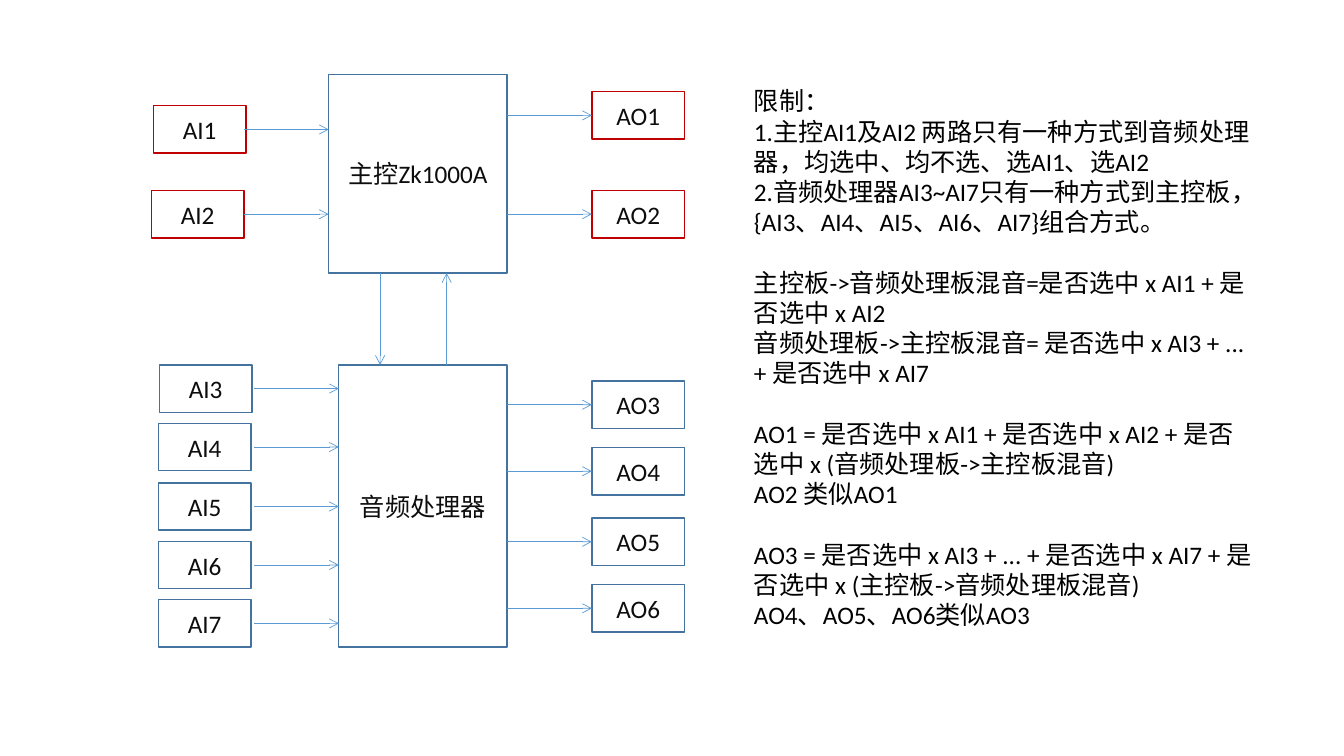
"""Builds the audio routing slide with its mixing rules."""
from pptx import Presentation
from pptx.dml.color import RGBColor
from pptx.enum.shapes import MSO_CONNECTOR, MSO_SHAPE
from pptx.enum.text import MSO_ANCHOR, PP_ALIGN
from pptx.oxml.ns import qn
from pptx.util import Inches, Pt
from lxml import etree

RECTANGLE = MSO_SHAPE.RECTANGLE
STRAIGHT = MSO_CONNECTOR.STRAIGHT
MIDDLE = MSO_ANCHOR.MIDDLE
CENTER = PP_ALIGN.CENTER

THEME = {
    "font": "Calibri", "size": 18, "rule_gap": 21.6,
    "label": "0D0D0D", "rules": "000000",
    "blue": "43739E", "red": "C00000", "arrow": "5B9BD5",
    "box_line": 1, "arrow_line": 0.5,
}

BOARDS = [
    {
        "name": "主控Zk1000A", "at": (3.26, 0.74, 1.77, 1.97), "color": "red",
        "inputs": [("AI1", 1.52, 1.05), ("AI2", 1.5, 1.89)],
        "outputs": [("AO1", 0.91), ("AO2", 1.89)],
    },
    {
        "name": "音频处理器", "at": (3.36, 3.62, 1.67, 2.8), "color": "blue",
        "inputs": [("AI3", 1.58, 3.62), ("AI4", 1.57, 4.2), ("AI5", 1.57, 4.79),
                   ("AI6", 1.57, 5.37), ("AI7", 1.57, 5.95)],
        "outputs": [("AO3", 3.78), ("AO4", 4.44), ("AO5", 5.14), ("AO6", 5.8)],
    },
]

RULE_GROUPS = [
    ["限制：",
     "1.主控AI1及AI2 两路只有一种方式到音频处理器，均选中、均不选、选AI1、选AI2",
     "2.音频处理器AI3~AI7只有一种方式到主控板，{AI3、AI4、AI5、AI6、AI7}组合方式。"],
    ["主控板->音频处理板混音=是否选中 x AI1 + 是否选中 x AI2",
     "音频处理板->主控板混音= 是否选中 x AI3 + ...",
     "+ 是否选中 x AI7"],
    ["AO1 = 是否选中 x AI1 + 是否选中 x AI2 + 是否选中 x (音频处理板->主控板混音)",
     "AO2 类似AO1"],
    ["AO3 = 是否选中 x AI3 + ... + 是否选中 x AI7 + 是否选中 x (主控板->音频处理板混音)",
     "AO4、AO5、AO6类似AO3"],
]
RULES_AT = (7.38, 0.8, 5.2, 5.55)

PORT_WIDTH, PORT_HEIGHT = 0.92, 0.47
ARROW_LENGTH = 0.84
DOWN_X, UP_X = 3.77, 4.43


def rgb(name):
    return RGBColor.from_string(THEME[name])


def style_text(paragraph, color):
    for run in paragraph.runs:
        run.font.name = THEME["font"]
        run.font.size = Pt(THEME["size"])
        run.font.color.rgb = rgb(color)


def add_box(slide, label, at, color):
    box = slide.shapes.add_shape(RECTANGLE, *map(Inches, at))
    box.shadow.inherit = False
    box.fill.background()
    box.line.color.rgb = rgb(color)
    box.line.width = Pt(THEME["box_line"])
    box.text_frame.text = label
    box.text_frame.vertical_anchor = MIDDLE
    paragraph = box.text_frame.paragraphs[0]
    paragraph.alignment = CENTER
    style_text(paragraph, "label")


def add_arrow(slide, start, end):
    arrow = slide.shapes.add_connector(STRAIGHT, *map(Inches, start + end))
    arrow.line.color.rgb = rgb("arrow")
    arrow.line.width = Pt(THEME["arrow_line"])
    etree.SubElement(arrow.line._get_or_add_ln(), qn("a:tailEnd"), type="arrow")
    etree.SubElement(arrow._element.spPr, qn("a:effectLst"))


def add_board(slide, board):
    left, top, width, height = board["at"]
    right = left + width
    add_box(slide, board["name"], board["at"], "blue")
    for label, port_left, port_top in board["inputs"]:
        middle = port_top + PORT_HEIGHT / 2
        add_box(slide, label, (port_left, port_top, PORT_WIDTH, PORT_HEIGHT), board["color"])
        add_arrow(slide, (left - ARROW_LENGTH, middle), (left, middle))
    for label, port_top in board["outputs"]:
        middle = port_top + PORT_HEIGHT / 2
        port_left = right + ARROW_LENGTH
        add_box(slide, label, (port_left, port_top, PORT_WIDTH, PORT_HEIGHT), board["color"])
        add_arrow(slide, (right, middle), (port_left, middle))


def add_rules(slide):
    frame = slide.shapes.add_textbox(*map(Inches, RULES_AT)).text_frame
    frame.word_wrap = True
    frame.text = "\n".join(rule for group in RULE_GROUPS for rule in group)
    paragraphs = iter(frame.paragraphs)
    for group_index, group in enumerate(RULE_GROUPS):
        for rule_index in range(len(group)):
            paragraph = next(paragraphs)
            style_text(paragraph, "rules")
            if group_index and not rule_index:
                paragraph.space_before = Pt(THEME["rule_gap"])


def main():
    deck = Presentation()
    deck.slide_width, deck.slide_height = Inches(13.33), Inches(7.5)
    slide = deck.slides.add_slide(deck.slide_layouts[6])
    for board in BOARDS:
        add_board(slide, board)
    upper, lower = (board["at"] for board in BOARDS)
    upper_bottom, lower_top = upper[1] + upper[3], lower[1]
    add_arrow(slide, (DOWN_X, upper_bottom), (DOWN_X, lower_top))
    add_arrow(slide, (UP_X, lower_top), (UP_X, upper_bottom))
    add_rules(slide)
    deck.save("out.pptx")


main()
